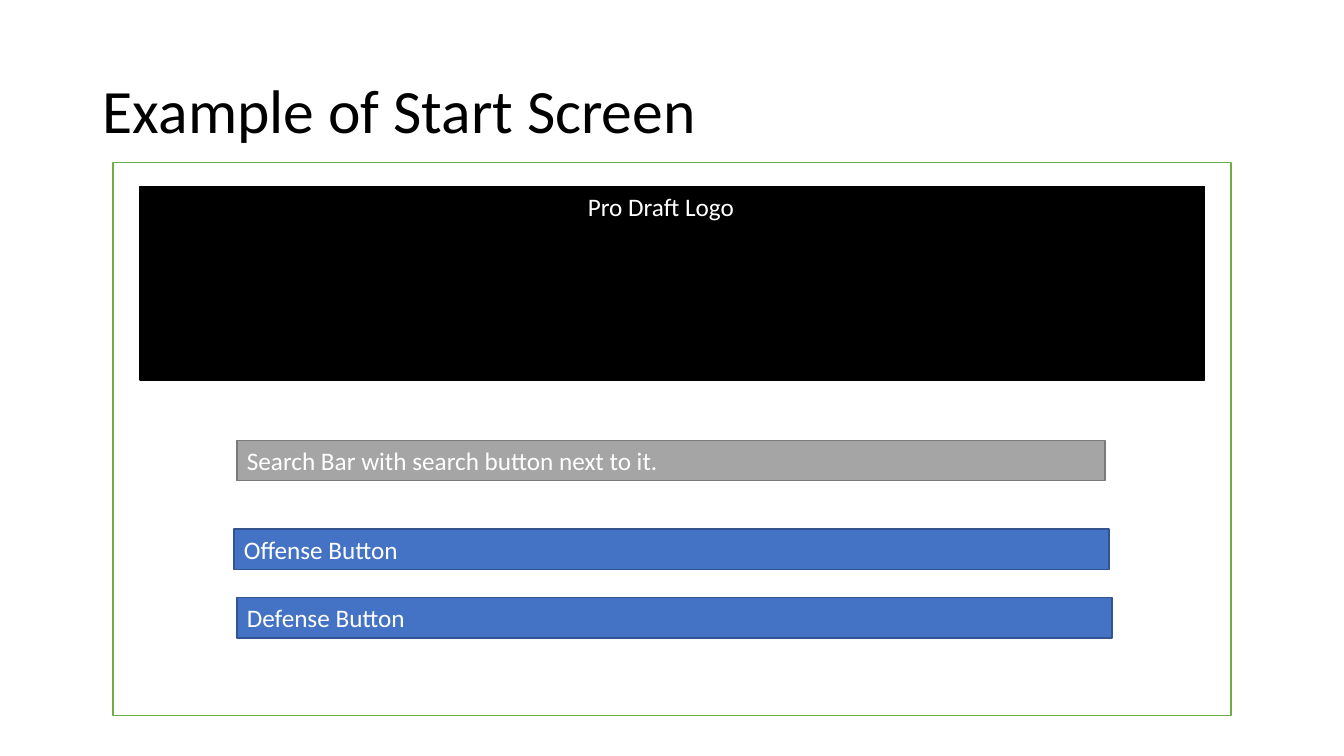
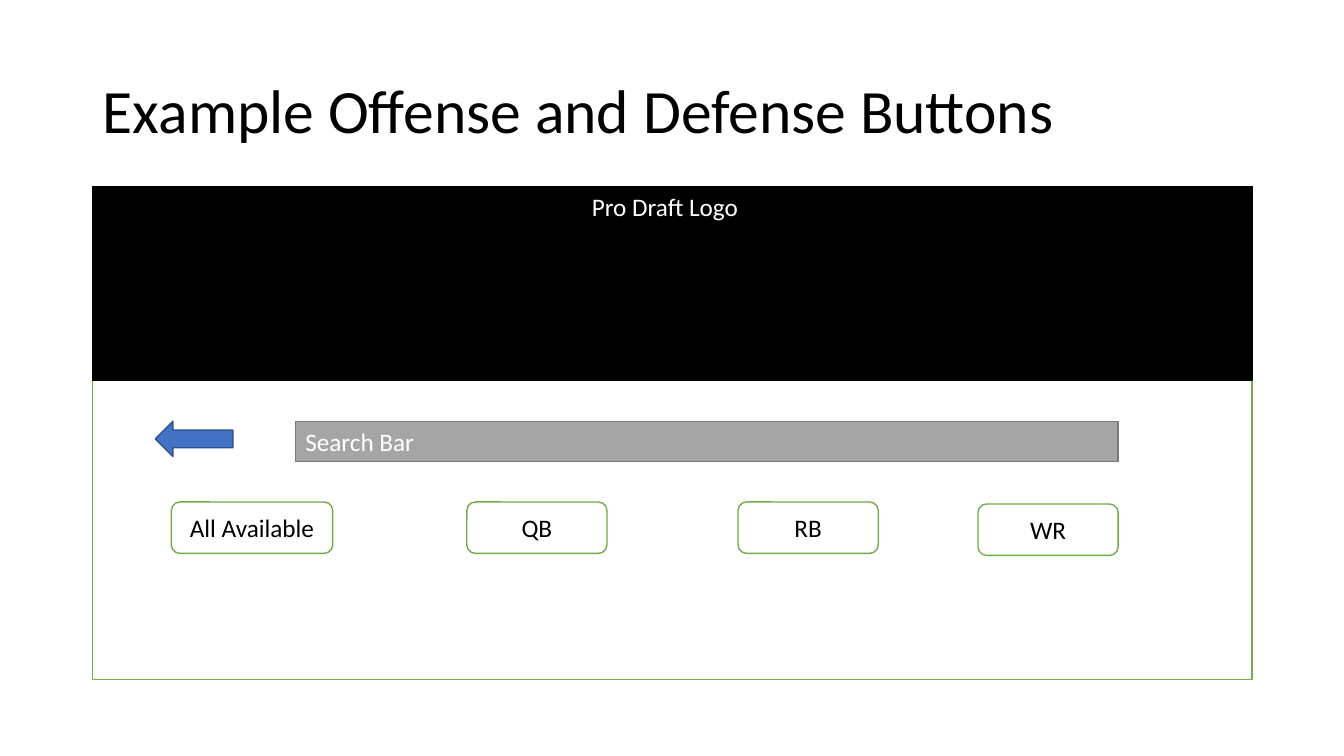
"""Build two wireframe slides of a draft app."""
from dataclasses import dataclass

from pptx import Presentation
from pptx import util as u
from pptx.dml.color import RGBColor
from pptx.enum import shapes, text

PX = 9144
KIND = shapes.MSO_SHAPE
ALIGN = text.PP_ALIGN
ANCHOR = text.MSO_ANCHOR


@dataclass(frozen=True)
class Theme:
    """Colours and type sizes of the deck."""
    font: str = "Calibri"
    head: int = 44
    body: int = 18
    white: str = "FFFFFF"
    black: str = "000000"
    green: str = "70AD47"
    grey: str = "A5A5A5"
    ash: str = "7A7A7A"
    blue: str = "4472C4"
    navy: str = "325491"


T = Theme()


@dataclass(frozen=True)
class Style:
    """Look of one sort of block."""
    fill: str
    line: str
    ink: str = T.white
    kind: KIND = KIND.RECTANGLE
    mid: bool = False


FRAME = Style(T.white, T.green)
BANNER = Style(T.black, T.black)
SEARCH = Style(T.grey, T.ash)
BUTTON = Style(T.blue, T.navy)
BACK = Style(T.blue, T.navy, kind=KIND.LEFT_ARROW)
CHIP = Style(T.white, T.green, T.black, KIND.ROUNDED_RECTANGLE, True)


@dataclass(frozen=True)
class Block:
    """One block of a screen, in px."""
    style: Style
    left: int
    top: int
    width: int
    height: int
    label: str = ""
    inset: int = 10


@dataclass(frozen=True)
class Screen:
    """One slide: its title and its blocks."""
    title: str
    blocks: list[Block]


BAR = 40
LOGO = "Pro Draft Logo"
CHIPS = [("All Available", 170, 498, 160), ("QB", 463, 498, 139),
         ("RB", 732, 498, 139), ("WR", 970, 500, 139)]

SCREENS = [
    Screen("Example of Start Screen", [
        Block(FRAME, 112, 161, 1109, 549),
        Block(BANNER, 139, 185, 1056, 192, LOGO, 444),
        Block(SEARCH, 235, 437, 861, BAR,
              "Search Bar with search button next to it."),
        Block(BUTTON, 232, 525, 868, BAR, "Offense Button"),
        Block(BUTTON, 235, 593, 868, BAR, "Defense Button"),
    ]),
    Screen("Example Offense and Defense Buttons", [
        Block(FRAME, 92, 185, 1150, 489),
        Block(BANNER, 92, 185, 1150, 192, LOGO, 495),
        Block(BACK, 154, 418, 77, 35),
        *[Block(CHIP, left, top, width, 51, label)
          for label, left, top, width in CHIPS],
        Block(SEARCH, 293, 418, 816, BAR, "Search Bar"),
    ]),
]


def write(shape, words: str, size: int, ink: str, align: ALIGN,
          anchor: ANCHOR):
    """Put one styled paragraph in a shape and return it."""
    frame = shape.text_frame
    frame.word_wrap = True
    frame.vertical_anchor = anchor
    para = frame.paragraphs[0]
    para.text = words
    para.alignment = align
    para.font.name = T.font
    para.font.size = u.Pt(size)
    para.font.color.rgb = RGBColor.from_string(ink)
    return para


def draw(slide, block: Block) -> None:
    """Draw one block with its label."""
    style = block.style
    shape = slide.shapes.add_shape(
        style.kind, block.left * PX, block.top * PX,
        block.width * PX, block.height * PX)
    shape.shadow.inherit = False
    shape.fill.solid()
    shape.fill.fore_color.rgb = RGBColor.from_string(style.fill)
    shape.line.color.rgb = RGBColor.from_string(style.line)
    shape.line.width = u.Pt(1)
    if block.label:
        shape.text_frame.margin_left = block.inset * PX
        write(shape, block.label, T.body, style.ink,
              ALIGN.CENTER if style.mid else ALIGN.LEFT,
              ANCHOR.MIDDLE if style.mid else ANCHOR.TOP)


def build(deck, screen: Screen) -> None:
    """Add one slide with its title and blocks."""
    slide = deck.slides.add_slide(deck.slide_layouts[5])
    title = slide.shapes.title
    title.left, title.top = 92 * PX, 40 * PX
    title.width, title.height = 1150 * PX, 145 * PX
    para = write(title, screen.title, T.head, T.black, ALIGN.LEFT,
                 ANCHOR.MIDDLE)
    para.line_spacing = 0.9
    for block in screen.blocks:
        draw(slide, block)


def main() -> None:
    """Build and save the deck."""
    deck = Presentation()
    deck.slide_width, deck.slide_height = 1333 * PX, 750 * PX
    for screen in SCREENS:
        build(deck, screen)
    deck.save("out.pptx")


if __name__ == "__main__":
    main()
